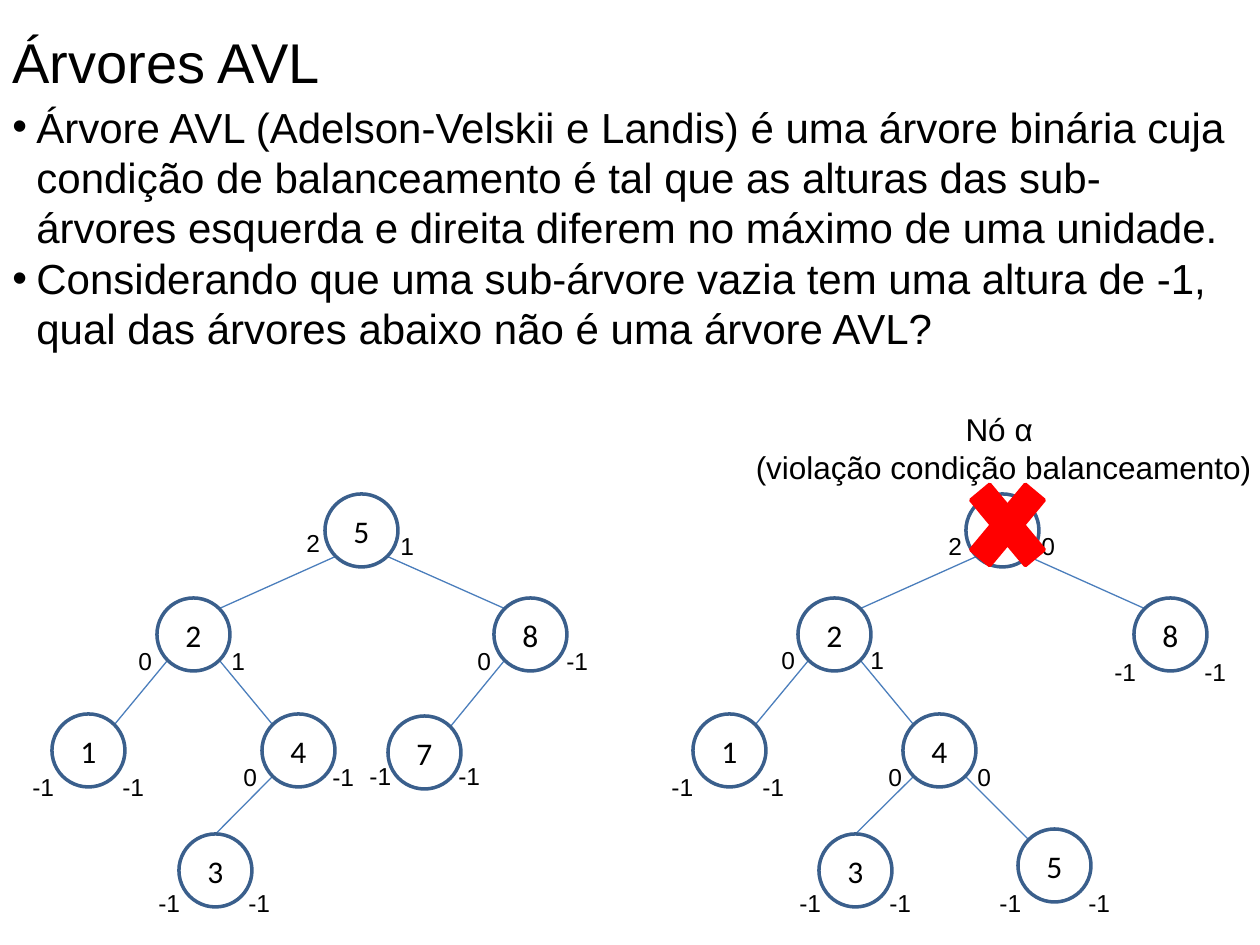
"""Build a slide that compares two binary trees under the AVL condition."""
from lxml import etree
from pptx import Presentation
from pptx import util as u
from pptx.dml.color import RGBColor
from pptx.enum import shapes, text
from pptx.oxml import ns

COLORS = {"ink": "000000", "node": "3A5F8C", "edge": "4B7EBC", "cross": "FF0000"}
SCALE = 914400 / 126
NODE = 73
DIAGONAL = 26

BULLETS = [
    "Árvore AVL (Adelson-Velskii e Landis) é uma árvore binária cuja condição de "
    "balanceamento é tal que as alturas das sub-árvores esquerda e direita diferem "
    "no máximo de uma unidade.",
    "Considerando que uma sub-árvore vazia tem uma altura de -1, qual das árvores "
    "abaixo não é uma árvore AVL?",
]

# Each node: value -> (left, top), then its (height, left, top) labels.
BALANCED = {
    "5": ((325, 494), ("2", 294, 522), ("1", 388, 525)),
    "2": ((157, 598), ("0", 126, 640), ("1", 219, 640)),
    "8": ((494, 598), ("0", 465, 640), ("-1", 554, 640)),
    "1": ((52, 714), ("-1", 20, 766), ("-1", 110, 766)),
    "4": ((262, 714), ("0", 231, 756), ("-1", 320, 756)),
    "7": ((388, 716), ("-1", 357, 755), ("-1", 446, 755)),
    "3": ((179, 834), ("-1", 146, 882), ("-1", 236, 882)),
}
UNBALANCED = {
    "7": ((966, 494), ("2", 936, 525), ("0", 1029, 525)),
    "2": ((798, 598), ("0", 769, 639), ("1", 858, 639)),
    "8": ((1134, 598), ("-1", 1102, 651), ("-1", 1192, 651)),
    "1": ((693, 714), ("-1", 659, 766), ("-1", 750, 766)),
    "4": ((903, 714), ("0", 876, 756), ("0", 965, 756)),
    "3": ((819, 834), ("-1", 787, 882), ("-1", 877, 882)),
    "5": ((1018, 829), ("-1", 999 - 12, 882), ("-1", 1076, 882)),
}
BALANCED_EDGES = ["52", "58", "21", "24", "87", "43"]
UNBALANCED_EDGES = ["72", "78", "21", "24", "43", "45"]


def px(value):
    """Turn pixels into EMU."""
    return u.Emu(round(value * SCALE))


def color(name):
    """Look up a named colour."""
    return RGBColor.from_string(COLORS[name])


def write(shape, lines, size, font="Arial", align=text.PP_ALIGN.LEFT):
    """Put formatted paragraphs into a shape."""
    frame = shape.text_frame
    frame.text = "\n".join(lines)
    for para in frame.paragraphs:
        para.alignment = align
        for span in para.runs:
            span.font.size = u.Pt(size)
            span.font.name = font
            span.font.color.rgb = color("ink")
    return frame


def fit(frame, wrap=False):
    """Let a frame grow with its text from the top."""
    frame.word_wrap = wrap
    frame.auto_size = text.MSO_AUTO_SIZE.SHAPE_TO_FIT_TEXT
    frame.vertical_anchor = text.MSO_ANCHOR.TOP


def add_title(page, words):
    """Place and format the title."""
    title = page.shapes.title
    title.left, title.top, title.width, title.height = map(px, (0, 21, 335, 81))
    fit(write(title, [words], 32))


def add_text(page, area, lines, size, align=text.PP_ALIGN.LEFT, wrap=False):
    """Add a text box."""
    box = page.shapes.add_textbox(*map(px, area))
    frame = write(box, lines, size, align=align)
    fit(frame, wrap)
    return frame


def add_bullets(page, area, lines, size):
    """Add a bulleted list with hanging indents."""
    for para in add_text(page, area, lines, size, wrap=True).paragraphs:
        props = para._p.get_or_add_pPr()
        props.set("marL", str(px(24)))
        props.set("indent", str(px(-24)))
        etree.SubElement(props, ns.qn("a:buFont")).set("typeface", "Arial")
        etree.SubElement(props, ns.qn("a:buChar")).set("char", "•")


def add_preset(page, kind, area, line):
    """Add a preset shape with an outline and no shadow."""
    shape = page.shapes.add_shape(kind, *map(px, area))
    shape.shadow.inherit = False
    shape.line.color.rgb = color(line)
    shape.line.width = u.Pt(2)
    return shape


def add_node(page, value, corner):
    """Add a round tree node."""
    node = add_preset(page, shapes.MSO_SHAPE.OVAL, (*corner, NODE, NODE), "node")
    node.fill.background()
    frame = write(node, [value], 18, "Calibri", text.PP_ALIGN.CENTER)
    frame.vertical_anchor = text.MSO_ANCHOR.MIDDLE


def add_edge(page, parent, child, to_top=False):
    """Join the lower diagonal of a parent to its child."""
    (px_left, px_top), (cx_left, cx_top) = parent, child
    side = 1 if cx_left > px_left else -1
    half = NODE / 2
    start = (px_left + half + side * DIAGONAL, px_top + half + DIAGONAL)
    if to_top:
        end = (cx_left + half, cx_top)
    else:
        end = (cx_left + half - side * DIAGONAL, cx_top + half - DIAGONAL)
    edge = page.shapes.add_connector(
        shapes.MSO_CONNECTOR.STRAIGHT, *map(px, start + end))
    edge.line.color.rgb = color("edge")
    edge.line.width = u.Pt(0.75)
    etree.SubElement(edge._element.spPr, ns.qn("a:effectLst"))


def add_tree(page, nodes, edges):
    """Draw edges, nodes and subtree heights."""
    for parent, child in edges:
        add_edge(page, nodes[parent][0], nodes[child][0], child == "3")
    for value, (corner, *heights) in nodes.items():
        add_node(page, value, corner)
        for height, left, top in heights:
            width = 48 if height == "-1" else 39
            add_text(page, (left, top, width, 43), [height], 14)


def main():
    """Build and save the deck."""
    deck = Presentation()
    deck.slide_width, deck.slide_height = px(1260), px(945)
    page = deck.slides.add_slide(deck.slide_layouts[5])
    add_title(page, "Árvores AVL")
    add_bullets(page, (0, 95, 1239, 267), BULLETS, 24)
    add_tree(page, BALANCED, BALANCED_EDGES)
    add_tree(page, UNBALANCED, UNBALANCED_EDGES)
    cross = add_preset(
        page, shapes.MSO_SHAPE.MATH_MULTIPLY, (955, 462, 105, 126), "cross")
    cross.fill.solid()
    cross.fill.fore_color.rgb = color("cross")
    add_text(page, (741, 404, 525, 89),
             ["Nó α ", "(violação condição balanceamento)"], 18,
             text.PP_ALIGN.CENTER)
    deck.save("out.pptx")


main()
